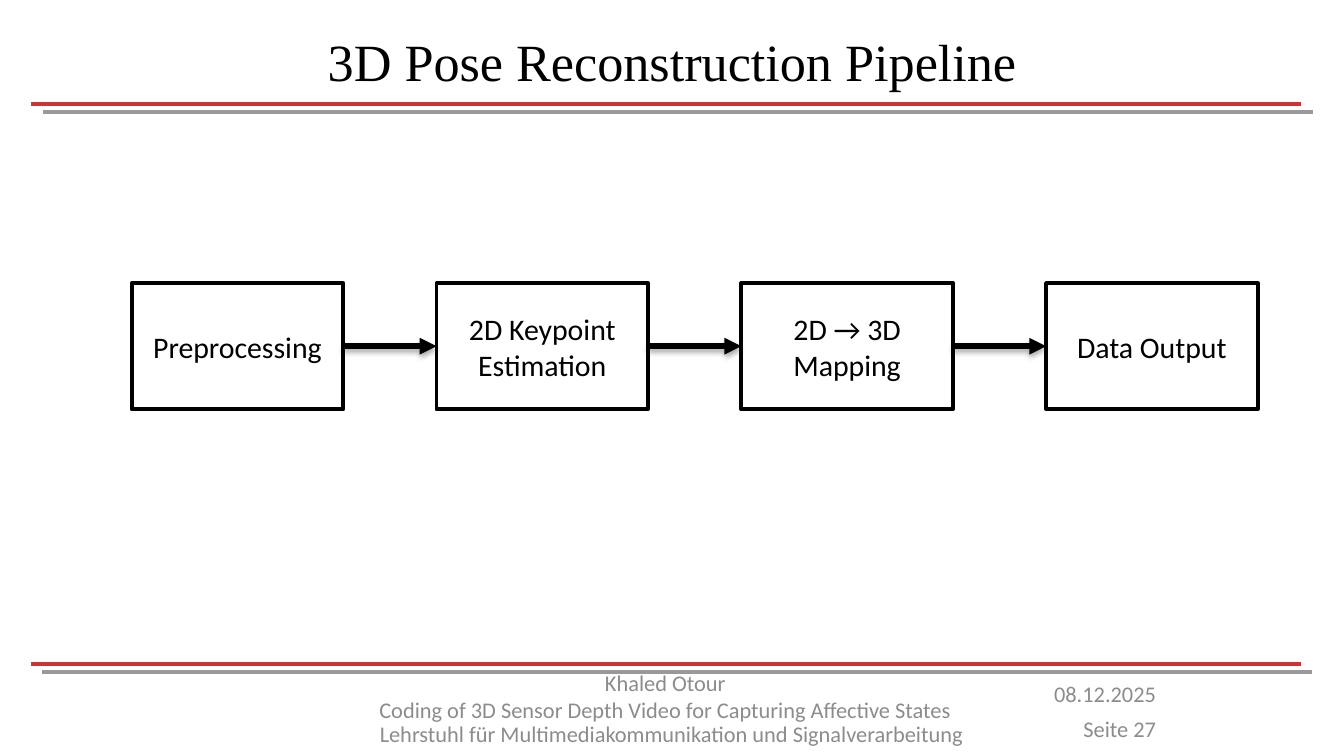
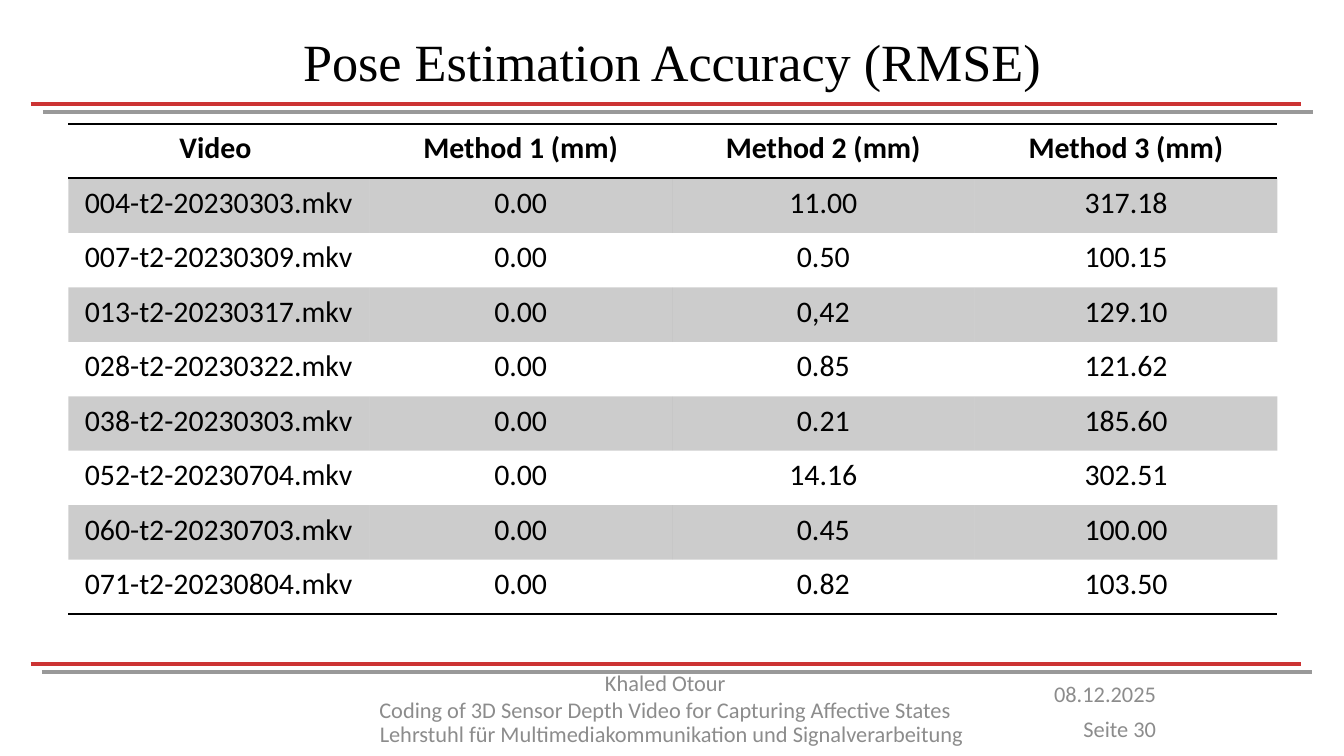
import pptx
import pptx.util
import pptx.dml.color
import pptx.enum.shapes
import pptx.enum.text
import pptx.oxml.ns
import lxml.etree

Cm = pptx.util.Cm
Pt = pptx.util.Pt
Align = pptx.enum.text.PP_ALIGN
Anchor = pptx.enum.text.MSO_ANCHOR

BLACK, WHITE, RED, GRAY, FAINT = "000000", "FFFFFF", "CC3333", "999999", "8C8C8C"
SANS, SERIF = "Calibri", "Times New Roman"

STEPS = ["Preprocessing", "2D Keypoint Estimation", "2D → 3D Mapping", "Data Output"]
ERRORS = [
    ["Video ", "Method 1 (mm)", "Method 2 (mm)", "Method 3 (mm)"],
    ["004-t2-20230303.mkv", "0.00", "11.00", "317.18"],
    ["007-t2-20230309.mkv", "0.00", "0.50", "100.15"],
    ["013-t2-20230317.mkv", "0.00", "0,42", "129.10"],
    ["028-t2-20230322.mkv", "0.00", "0.85", "121.62"],
    ["038-t2-20230303.mkv", "0.00", "0.21", "185.60"],
    ["052-t2-20230704.mkv", "0.00", "14.16", "302.51"],
    ["060-t2-20230703.mkv", "0.00", "0.45", "100.00"],
    ["071-t2-20230804.mkv", "0.00", "0.82", "103.50"],
]


def color(code):
    return pptx.dml.color.RGBColor.from_string(code)


def node(parent, tag, **attrs):
    """Append a child in the drawing namespace."""
    name = pptx.oxml.ns.qn("a:" + tag)
    attrs = {key: str(value) for key, value in attrs.items()}
    return lxml.etree.SubElement(parent, name, attrs)


def tint(parent, code, alpha):
    """Append a colour with its opacity in percent."""
    node(node(parent, "srgbClr", val=code), "alpha", val=alpha * 1000)


class Deck:
    def __init__(self):
        self.file = pptx.Presentation()
        self.file.slide_width = Cm(25.4)
        self.file.slide_height = Cm(14.29)
        self.slide = None

    def start(self, title, page):
        """Add a slide with its title, bands and footer."""
        self.slide = self.file.slides.add_slide(self.file.slide_layouts[6])
        for left, top, code in [(0.58, 1.96, RED), (0.81, 2.11, GRAY),
                                (0.58, 12.55, RED), (0.79, 12.7, GRAY)]:
            self.line(left, top, left + 24, top, code, 2.25)
        self.note("Lehrstuhl für Multimediakommunikation und Signalverarbeitung",
                  6.6, 13.49, 12.19, 0.76, Align.CENTER)
        self.note("Khaled Otour\n"
                  "Coding of 3D Sensor Depth Video for Capturing Affective States",
                  6.48, 12.52, 12.19, 1.27, Align.CENTER)
        self.note("08.12.2025", 19.51, 12.73, 2.59, 0.76, Align.RIGHT)
        self.note(f"Seite {page}", 19.51, 13.39, 2.59, 0.76, Align.RIGHT)
        frame = self.text(title, 1.27, 0.36, 22.86, 1.57)
        frame.vertical_anchor = Anchor.MIDDLE
        self.style(frame, 28, face=SERIF)

    def style(self, frame, size, code=BLACK, face=SANS, align=Align.CENTER, bold=False):
        for para in frame.paragraphs:
            para.alignment = align
            for run in para.runs:
                run.font.name = face
                run.font.size = Pt(size)
                run.font.bold = bold
                run.font.color.rgb = color(code)

    def text(self, words, left, top, width, height):
        box = self.slide.shapes.add_textbox(Cm(left), Cm(top), Cm(width), Cm(height))
        box.text_frame.word_wrap = True
        box.text_frame.text = words
        return box.text_frame

    def note(self, words, left, top, width, height, align):
        """Add a footer text."""
        self.style(self.text(words, left, top, width, height), 12, FAINT, align=align)

    def line(self, x1, y1, x2, y2, code, weight):
        link = self.slide.shapes.add_connector(
            pptx.enum.shapes.MSO_CONNECTOR.STRAIGHT, Cm(x1), Cm(y1), Cm(x2), Cm(y2))
        link.line.width = Pt(weight)
        link.line.color.rgb = color(code)
        node(link._element.spPr, "effectLst")
        return link

    def arrow(self, first, last):
        """Join the right side of one box to the left side of the next."""
        link = self.line(0, 0, 1, 0, BLACK, 3)
        link.begin_connect(first, 3)
        link.end_connect(last, 1)
        node(link.line._get_or_add_ln(), "tailEnd", type="triangle")
        effects = link._element.spPr.find(pptx.oxml.ns.qn("a:effectLst"))
        shade = node(effects, "outerShdw", blurRad=Pt(3.1), dist=Pt(1.8),
                     dir=90 * 60000, rotWithShape=0)
        tint(shade, BLACK, 35)

    def box(self, words, left, top, width, height):
        shape = self.slide.shapes.add_shape(
            pptx.enum.shapes.MSO_SHAPE.RECTANGLE, Cm(left), Cm(top), Cm(width), Cm(height))
        shape.shadow.inherit = False
        shape.fill.solid()
        shape.fill.fore_color.rgb = color(WHITE)
        shape.line.color.rgb = color(BLACK)
        shape.line.width = Pt(2)
        frame = shape.text_frame
        frame.word_wrap = True
        frame.vertical_anchor = Anchor.MIDDLE
        frame.text = words
        self.style(frame, 16)
        return shape

    def cell(self, cell, words, head, band, rules):
        """Fill a table cell; rules names the sides that get a line."""
        cell.text = words
        self.style(cell.text_frame, 16, bold=head)
        props = cell._tc.get_or_add_tcPr()
        for side in "LRTB":
            edge = node(props, "ln" + side, w=Pt(1))
            if side in rules:
                node(node(edge, "solidFill"), "srgbClr", val=BLACK)
            else:
                node(edge, "noFill")
        if band:
            tint(node(props, "solidFill"), BLACK, 20)
        else:
            cell.fill.background()

    def table(self, rows, left, top, widths, height):
        count = len(rows)
        grid = self.slide.shapes.add_table(
            count, len(widths), Cm(left), Cm(top),
            Cm(sum(widths)), Cm(height * count)).table
        grid.horz_banding = False
        for col, width in zip(grid.columns, widths):
            col.width = Cm(width)
        ruled = (0, 1, count)
        for r, row in enumerate(rows):
            grid.rows[r].height = Cm(height)
            rules = "T" * (r in ruled) + "B" * (r + 1 in ruled)
            for c, words in enumerate(row):
                self.cell(grid.cell(r, c), words, r == 0, r % 2 == 1, rules)


def main():
    deck = Deck()

    deck.start("3D Pose Reconstruction Pipeline", 27)
    boxes = [deck.box(step, 2.49 + 5.76 * i, 5.35, 4, 2.39)
             for i, step in enumerate(STEPS)]
    for first, last in zip(boxes, boxes[1:]):
        deck.arrow(first, last)

    deck.start("Pose Estimation Accuracy (RMSE)", 30)
    deck.table(ERRORS, 1.29, 2.34, [5.69] + [5.72] * 3, 1.03)

    deck.file.save("out.pptx")


if __name__ == "__main__":
    main()
